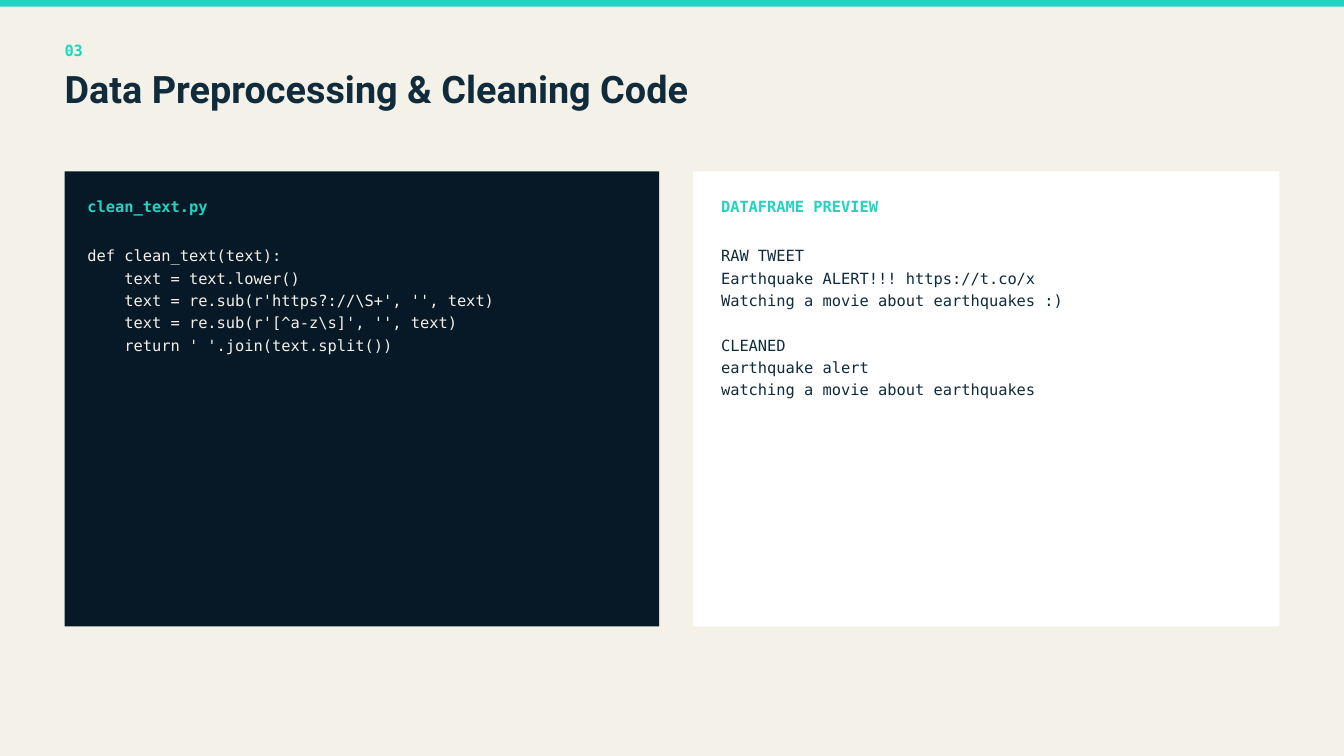
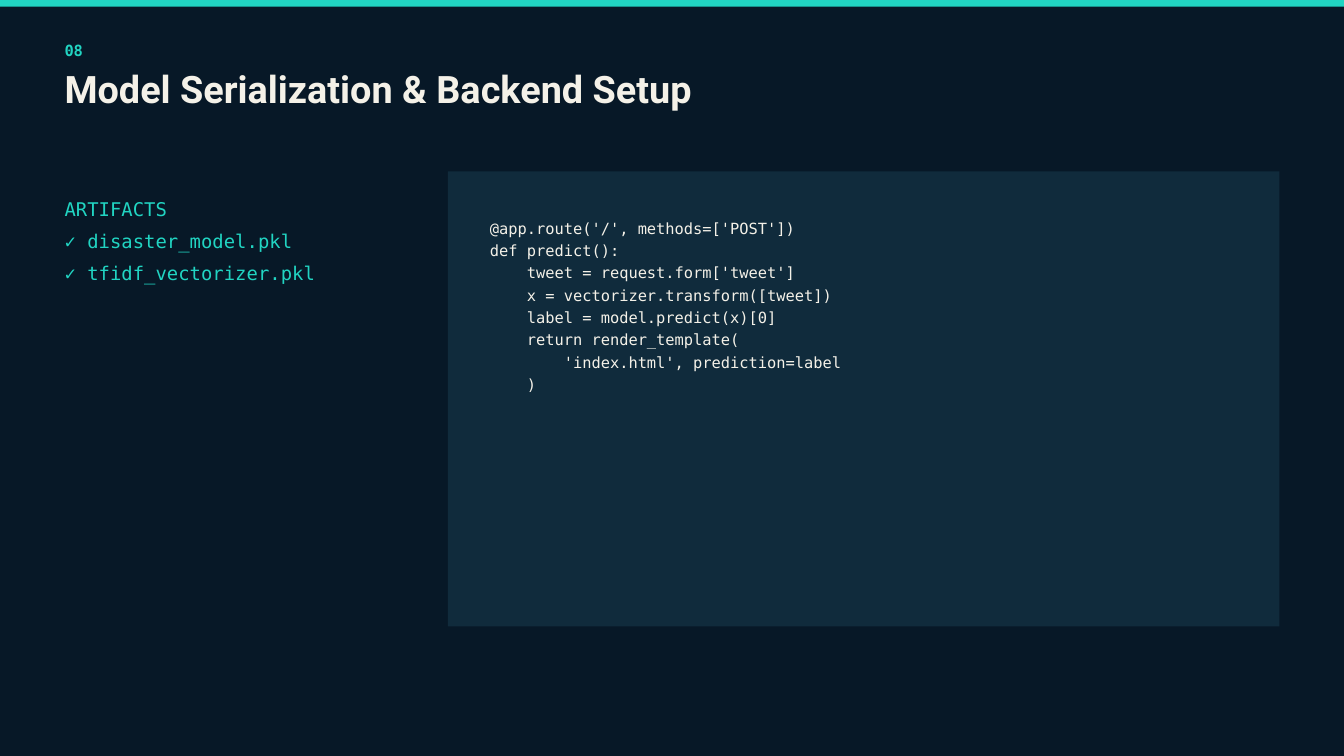
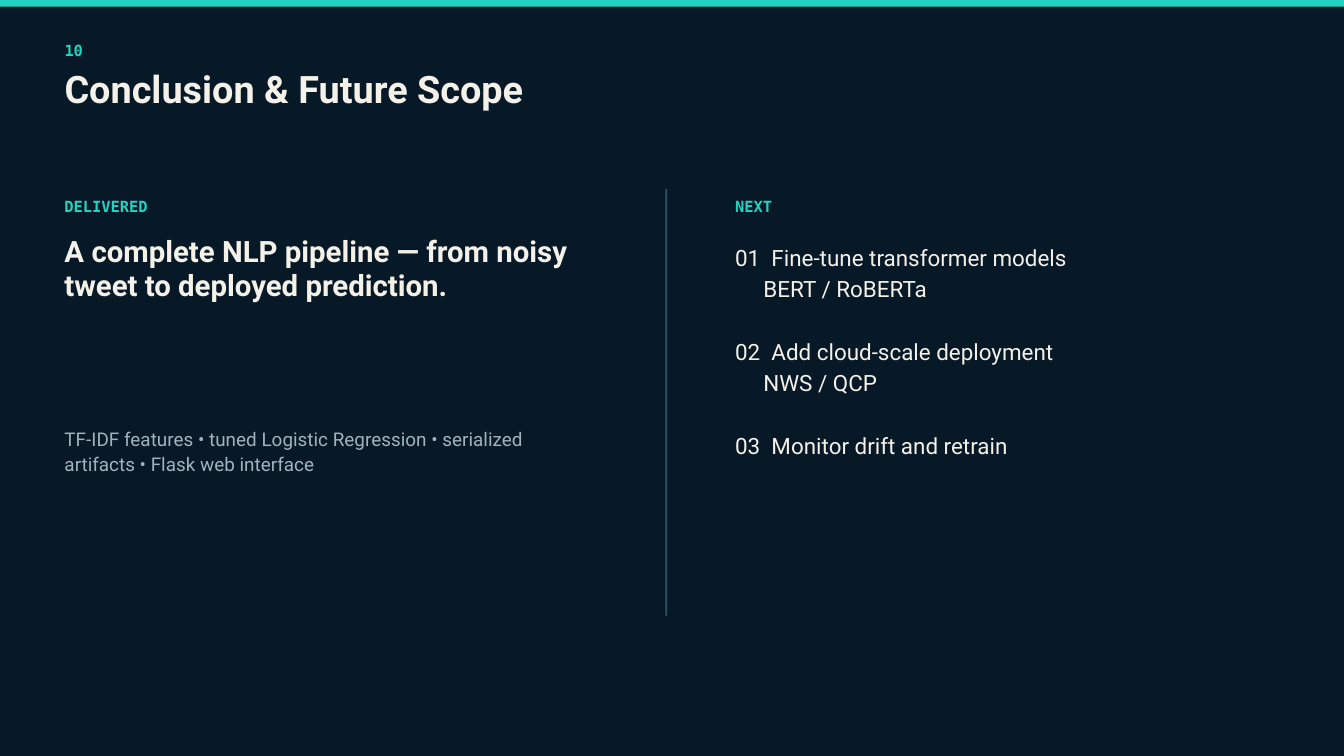
from collections import namedtuple

from pptx import Presentation
from pptx import util as u
from pptx.dml.color import RGBColor
from pptx.enum import shapes

WIDTH, HEIGHT = u.Inches(20), u.Inches(11.25)

CREAM = RGBColor(0xF4, 0xF1, 0xE8)
NIGHT = RGBColor(0x07, 0x18, 0x27)
NAVY = RGBColor(0x10, 0x2B, 0x3C)
TEAL = RGBColor(0x21, 0xD4, 0xC2)
WHITE = RGBColor(0xFF, 0xFF, 0xFF)
GREY = RGBColor(0x9F, 0xB5, 0xBD)
SLATE = RGBColor(0x2D, 0x53, 0x64)

MONO, SANS = "DejaVu Sans Mono", "Roboto"
Style = namedtuple("Style", "font size leading bold")
LABEL = Style(MONO, 16.5, 23.1, True)
TITLE = Style(SANS, 40.5, 43.7, True)
CODE = Style(MONO, 16.5, 23.9, False)
FILES = Style(MONO, 20.25, 34.4, False)
CLAIM = Style(SANS, 31.5, 36.2, True)
NOTE = Style(SANS, 20.25, 27.3, False)
STEPS = Style(SANS, 24, 33.6, False)

LEFT, RIGHT = 4.8, 95.2
PANEL_TOP, PANEL_HEIGHT = 22.67, 60.18
LABEL_TOP, LABEL_HEIGHT = 25.69, 2.67
CODE_TOP = 32.09

CLEAN_CODE = [
    "def clean_text(text):",
    "    text = text.lower()",
    r"    text = re.sub(r'https?://\S+', '', text)",
    r"    text = re.sub(r'[^a-z\s]', '', text)",
    "    return ' '.join(text.split())",
]
RAW_TWEETS = [
    "RAW TWEET",
    "Earthquake ALERT!!! https://t.co/x",
    "Watching a movie about earthquakes :)",
]
CLEANED_TWEETS = [
    "CLEANED",
    "earthquake alert",
    "watching a movie about earthquakes",
]
ROUTE_CODE = [
    "@app.route('/', methods=['POST'])",
    "def predict():",
    "    tweet = request.form['tweet']",
    "    x = vectorizer.transform([tweet])",
    "    label = model.predict(x)[0]",
    "    return render_template(",
    "        'index.html', prediction=label",
    "    )",
]
ARTIFACTS = ["ARTIFACTS", "✓ disaster_model.pkl", "✓ tfidf_vectorizer.pkl"]
NEXT_STEPS = [
    ["01\tFine-tune transformer models", "BERT / RoBERTa"],
    ["02\tAdd cloud-scale deployment", "NWS / QCP"],
    ["03\tMonitor drift and retrain"],
]


def place(x, y, w, h):
    return [int(side * share / 100)
            for side, share in zip((WIDTH, HEIGHT) * 2, (x, y, w, h))]


def add_block(s, x, y, w, h, color):
    sp = s.shapes.add_shape(shapes.MSO_SHAPE.RECTANGLE, *place(x, y, w, h))
    sp.shadow.inherit = False
    sp.fill.solid()
    sp.fill.fore_color.rgb = color
    sp.line.fill.background()


def add_text(s, x, y, w, h, style, color, *groups):
    tf = s.shapes.add_textbox(*place(x, y, w, h)).text_frame
    tf.word_wrap = True
    tf.margin_left = tf.margin_top = tf.margin_right = tf.margin_bottom = 0
    lines = [(i, j, line) for i, group in enumerate(groups)
             for j, line in enumerate(group)]
    for i, j, line in lines:
        p = tf.paragraphs[0] if i == j == 0 else tf.add_paragraph()
        p.text = line
        p.line_spacing = u.Pt(style.leading)
        if i > 0 and j == 0:
            p.space_before = u.Pt(style.leading)
        p.font.name = style.font
        p.font.size = u.Pt(style.size)
        p.font.bold = style.bold
        p.font.color.rgb = color
    return tf.paragraphs


def add_label(s, x, w, caption):
    add_text(s, x, LABEL_TOP, w, LABEL_HEIGHT, LABEL, TEAL, [caption])


def add_panel(s, x, right, color):
    add_block(s, x, PANEL_TOP, right - x, PANEL_HEIGHT, color)


def add_steps(s, x, y, w, h, steps):
    for p in add_text(s, x, y, w, h, STEPS, CREAM, *steps):
        numbered = "\t" in p.text
        indent = u.Inches(0.54 if numbered else 0.42)
        pPr = p._p.get_or_add_pPr()
        pPr.set("marL", str(indent))
        pPr.set("indent", str(-indent if numbered else 0))


def add_slide(prs, number, title, background, title_color):
    s = prs.slides.add_slide(prs.slide_layouts[6])
    s.background.fill.solid()
    s.background.fill.fore_color.rgb = background
    add_text(s, LEFT, 5.07, 6.25, LABEL_HEIGHT, LABEL, TEAL, [number])
    add_text(s, LEFT, 9.24, 78.1, 6.22, TITLE, title_color, [title])
    add_block(s, 0, 0, 100, 0.89, TEAL)
    return s


def build_cleaning(prs):
    s = add_slide(prs, "03", "Data Preprocessing & Cleaning Code", CREAM, NAVY)
    add_panel(s, LEFT, 49.05, NIGHT)
    add_label(s, 6.5, 15.6, "clean_text.py")
    add_text(s, 6.5, CODE_TOP, 40.1, 14.13, CODE, CREAM, CLEAN_CODE)
    add_panel(s, 51.55, RIGHT, WHITE)
    add_label(s, 53.65, 20.85, "DATAFRAME PREVIEW")
    add_text(s, 53.65, CODE_TOP, 37.5, 19.82, CODE, NAVY,
             RAW_TWEETS, CLEANED_TWEETS)


def build_backend(prs):
    s = add_slide(prs, "08", "Model Serialization & Backend Setup", NIGHT, CREAM)
    add_text(s, LEFT, 24.89, 23.95, 12.27, FILES, TEAL, ARTIFACTS)
    add_panel(s, 33.33, RIGHT, NAVY)
    add_text(s, 36.45, 28.44, 52.1, 22.76, CODE, CREAM, ROUTE_CODE)


def build_conclusion(prs):
    s = add_slide(prs, "10", "Conclusion & Future Scope", NIGHT, CREAM)
    add_label(s, LEFT, 33.85, "DELIVERED")
    add_text(s, LEFT, 31.02, 37.5, 9.51, CLAIM, CREAM,
             ["A complete NLP pipeline — from noisy tweet to deployed prediction."])
    add_text(s, LEFT, 56.18, 37.5, 6.58, NOTE, GREY,
             ["TF-IDF features • tuned Logistic Regression • serialized "
              "artifacts • Flask web interface"])
    add_block(s, 49.5, 25, 0.15, 56.44, SLATE)
    add_label(s, 54.7, 33.85, "NEXT")
    add_steps(s, 54.7, 31.64, 36.45, 28.71, NEXT_STEPS)


def main():
    prs = Presentation()
    prs.slide_width, prs.slide_height = WIDTH, HEIGHT
    build_cleaning(prs)
    build_backend(prs)
    build_conclusion(prs)
    prs.save("out.pptx")


if __name__ == "__main__":
    main()
